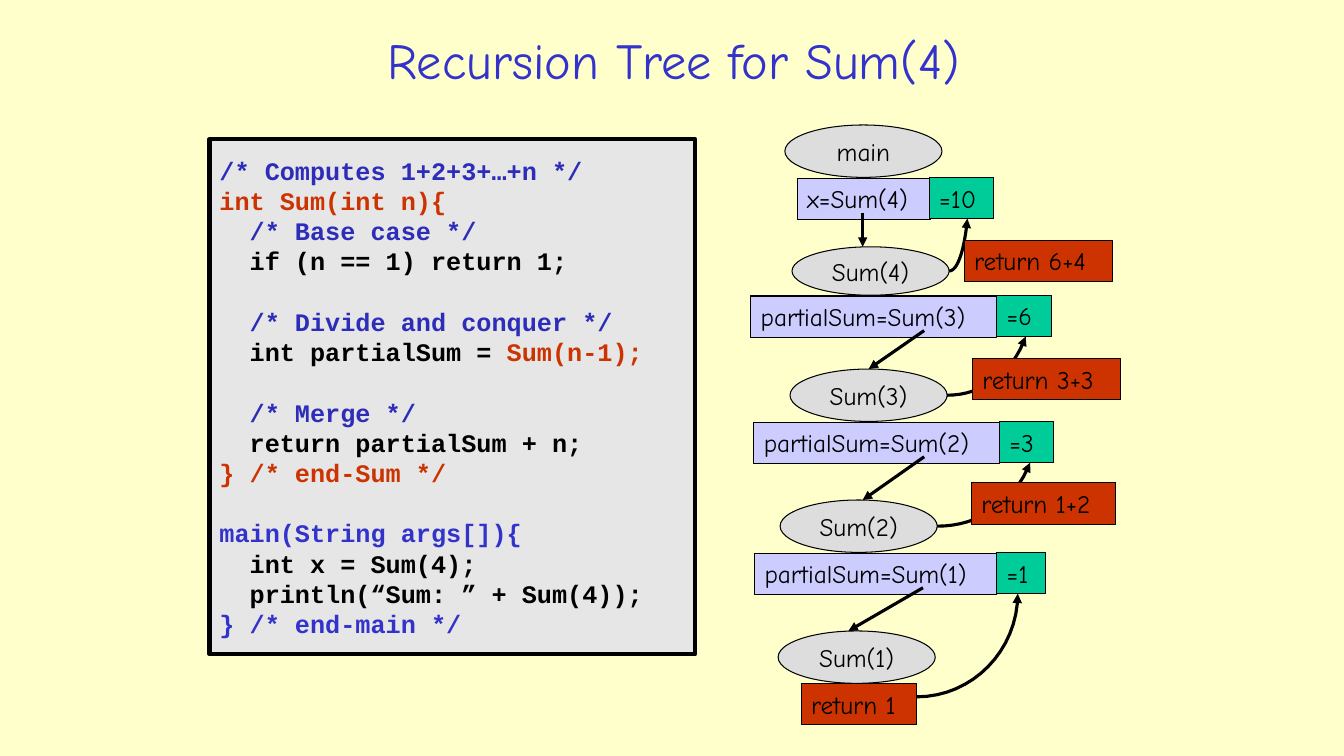
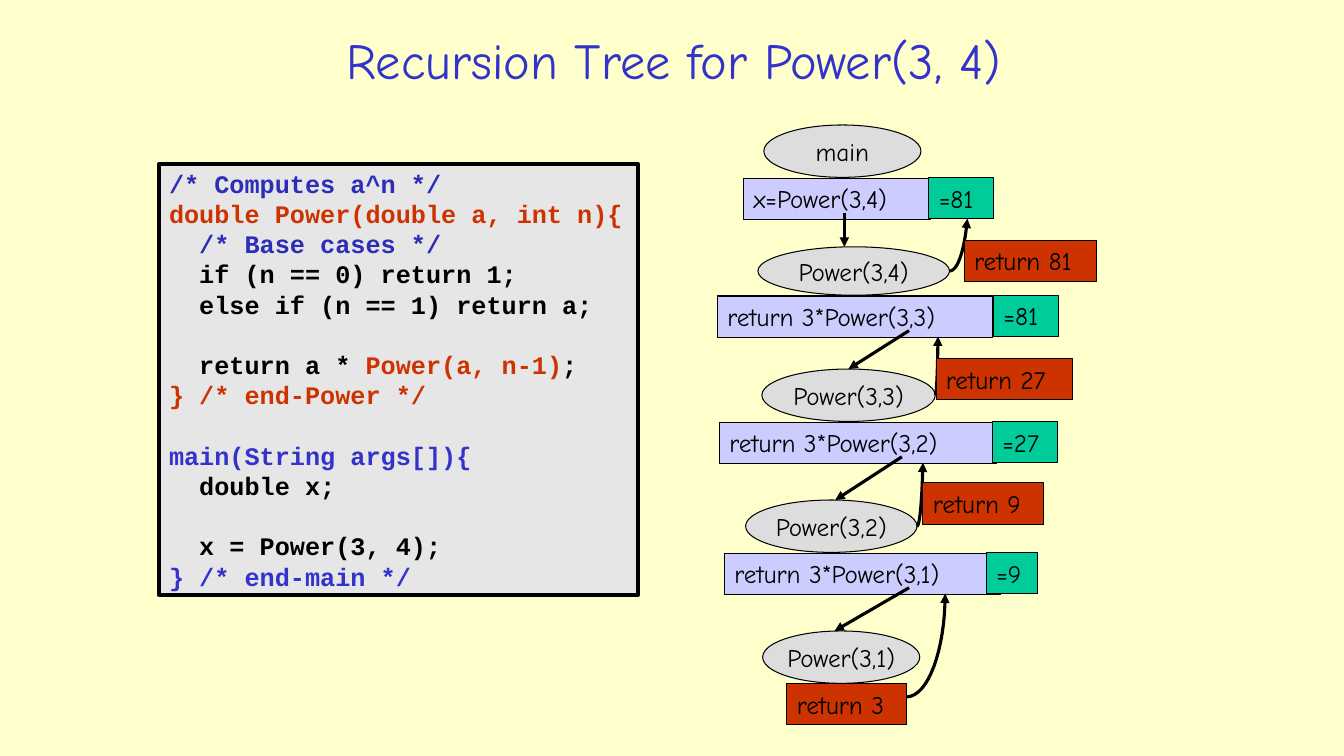
from typing import NamedTuple

from lxml.etree import SubElement
from pptx import Presentation
from pptx.dml.color import RGBColor
from pptx.enum.shapes import MSO_CONNECTOR, MSO_SHAPE
from pptx.enum.text import MSO_ANCHOR, MSO_AUTO_SIZE, PP_ALIGN
from pptx.oxml.ns import qn
from pptx.util import Cm, Pt

HAND, MONO = "Comic Neue", "Courier New"
CREAM, GREY, PALE = "FFFFCC", "DDDDDD", "E6E6E6"
BLACK, BLUE, NAVY = "000000", "3333CC", "2D2DB9"
RED, GREEN, LILAC = "CC3300", "00CC99", "CCCCFF"
ROW = 1.04  # height of a label
LEAD = 21.6  # line pitch of code, points
# Top and height of the five ovals, from the top of the tree
OVALS = [(0, 1.32), (3.07, 1.22), (6.15, 1.32), (9.45, 1.32), (12.75, 1.32)]
# Top of the reply boxes, from the top of the tree
REPLIES = [None, 2.9, 5.89, 9.02, 14.07]
# Control points of the return curves, as shares of width and height
SOFT = ((0.44, 0), (0.83, 0.36))
ROUND = ((0.55, 0), (1, 0.45))


class Level(NamedTuple):
    """One call; every x is measured from the left of the tree."""
    name: str
    oval: tuple          # x, width
    label: tuple = None  # x, width, text
    value: tuple = None  # x, width, text
    call: tuple = None   # x at start, x at end
    reply: tuple = None  # x, width, text
    tip: float = None    # x where the return curve ends


def tint(code):
    return RGBColor.from_string(code)


def put(shape, lines, font=HAND, size=18, color=BLACK, bold=False,
        align=PP_ALIGN.LEFT, lead=None):
    """Write lines; a line is text or (text, colour) parts, "" is a gap."""
    frame = shape.text_frame
    frame.word_wrap = False
    frame.auto_size = MSO_AUTO_SIZE.NONE
    frame.vertical_anchor = MSO_ANCHOR.MIDDLE
    para, gap = None, False
    for line in lines:
        if not line:
            gap = True
            continue
        para = frame.add_paragraph() if para else frame.paragraphs[0]
        para.alignment = align
        if lead:
            para.line_spacing = Pt(lead)
        if gap:
            para.space_before = Pt(lead)
            gap = False
        for text, hue in [(line, color)] if isinstance(line, str) else line:
            run = para.add_run()
            run.text = text
            run.font.name, run.font.size = font, Pt(size)
            run.font.bold = bold
            run.font.color.rgb = tint(hue)


def block(slide, kind, box, fill, lines, line=0.75, **form):
    shape = slide.shapes.add_shape(kind, *[Cm(n) for n in box])
    shape.shadow.inherit = False
    shape.fill.solid()
    shape.fill.fore_color.rgb = tint(fill)
    shape.line.color.rgb = tint(BLACK)
    shape.line.width = Pt(line)
    put(shape, lines, **form)


def point(shape):
    """Give a line its stroke and arrowhead."""
    shape.line.color.rgb = tint(BLACK)
    shape.line.width = Pt(2.25)
    SubElement(shape.line._get_or_add_ln(), qn("a:tailEnd"), type="triangle")


def arrow(slide, *ends):
    link = slide.shapes.add_connector(MSO_CONNECTOR.STRAIGHT,
                                      *[Cm(n) for n in ends])
    point(link)
    SubElement(link._element.spPr, qn("a:effectLst"))


def curve(slide, x1, y1, x2, y2, bend, steps=16):
    (ax, ay), (bx, by) = bend
    spots = []
    for step in range(steps + 1):
        t = step / steps
        a, b, c = 3 * t * (1 - t) ** 2, 3 * t * t * (1 - t), t ** 3
        spots.append((Cm(x1 + (x2 - x1) * (a * ax + b * bx + c)),
                      Cm(y1 + (y2 - y1) * (a * ay + b * by + c))))
    pen = slide.shapes.build_freeform(*spots[0])
    pen.add_line_segments(spots[1:], close=False)
    shape = pen.convert_to_shape()
    shape.shadow.inherit = False
    shape.fill.background()
    point(shape)


def title(slide, text):
    head = slide.shapes.title
    head.left, head.top, head.width, head.height = (
        Cm(4.83), Cm(0.61), Cm(24.3), Cm(1.78))
    put(head, [text], size=36, color=BLUE, align=PP_ALIGN.CENTER)


def code(slide, box, lines):
    block(slide, MSO_SHAPE.RECTANGLE, box, PALE, lines, line=3,
          font=MONO, bold=True, lead=LEAD)


def tree(slide, left, top, levels):
    def tag(part, y, fill):
        x, wide, text = part
        block(slide, MSO_SHAPE.RECTANGLE, (left + x, y, wide, ROW),
              fill, [text])

    # Ovals, labels and values
    for level, (y, high) in zip(levels, OVALS):
        x, wide = level.oval
        block(slide, MSO_SHAPE.OVAL, (left + x, top + y, wide, high), GREY,
              [level.name], align=PP_ALIGN.CENTER)
        if level.label:
            tag(level.label, top + y + high + 0.02, LILAC)
            tag(level.value, top + y + high, GREEN)

    # Calls going down
    for level, (y, high), (below, _) in zip(levels, OVALS, OVALS[1:]):
        start, end = level.call
        arrow(slide, left + start, top + y + high + 0.89,
              left + end, top + below)

    # Returns going up
    for i, level in enumerate(levels[1:], 1):
        last = level.label is None
        x, wide = level.reply[:2] if last else level.oval
        y, high = OVALS[i]
        start = REPLIES[i] + 0.34 if last else y + high / 2
        if last:
            tag(level.reply, top + REPLIES[i], RED)
        curve(slide, left + x + wide, top + start,
              left + level.tip, top + sum(OVALS[i - 1]) + ROW,
              ROUND if last else SOFT)
        if not last:
            tag(level.reply, top + REPLIES[i], RED)


SUM_CODE = [
    [("/* Computes 1+2+3+…+n */", NAVY)],
    [("int Sum(int n){", RED)],
    [("  /* Base case */", NAVY)],
    "  if (n == 1) return 1;",
    "",
    [("  /* Divide and conquer */", NAVY)],
    [("  int partialSum = ", BLACK), ("Sum(n-1);", RED)],
    "",
    [("  /* Merge */", NAVY)],
    "  return partialSum + n;",
    [("} /* end-Sum */", RED)],
    "",
    [("main(String args[]){", BLUE)],
    "  int x = Sum(4);",
    "  println(“Sum: ” + Sum(4));",
    [("} /* end-main */", BLUE)],
]
SUM_TREE = [
    Level("main", (0.86, 3.96), (1.17, 3.35, "x=Sum(4)"),
          (4.5, 1.63, "=10"), (2.82, 2.82)),
    Level("Sum(4)", (1.04, 3.96), (0, 6.2, "partialSum=Sum(3)"),
          (6.2, 1.37, "=6"), (4.37, 2.97), (5.38, 3.73, "return 6+4"), 5.46),
    Level("Sum(3)", (0.99, 3.96), (0.08, 6.2, "partialSum=Sum(2)"),
          (6.27, 1.37, "=3"), (4.37, 2.82), (5.59, 3.73, "return 3+3"), 6.93),
    Level("Sum(2)", (0.74, 3.96), (0.1, 6.1, "partialSum=Sum(1)"),
          (6.2, 1.22, "=1"), (4.34, 2.46), (5.56, 3.63, "return 1+2"), 7.04),
    Level("Sum(1)", (0.69, 3.96), reply=(1.27, 2.92, "return 1"), tip=6.73),
]
POWER_CODE = [
    [("/* Computes a^n */", NAVY)],
    [("double Power(double a, int n){", RED)],
    [("  /* Base cases */", NAVY)],
    "  if (n == 0) return 1;",
    "  else if (n == 1) return a;",
    "",
    [("  return a * ", BLACK), ("Power(a, n-1)", RED), (";", BLACK)],
    [("} /* end-Power */", RED)],
    "",
    [("main(String args[]){", BLUE)],
    "  double x;",
    "",
    "  x = Power(3, 4);",
    [("} /* end-main */", BLUE)],
]
POWER_TREE = [
    Level("main", (1.17, 3.96), (0.66, 4.72, "x=Power(3,4)"),
          (5.33, 1.63, "=81"), (3.2, 3.2)),
    Level("Power(3,4)", (1.02, 4.83), (0, 6.93, "return 3*Power(3,3)"),
          (6.96, 1.63, "=81"), (4.83, 3.3), (6.22, 3.33, "return 81"), 6.3),
    Level("Power(3,3)", (1.12, 4.37), (0.05, 6.99, "return 3*Power(3,2)"),
          (6.93, 1.65, "=27"), (4.65, 2.97), (5.51, 3.43, "return 27"), 5.56),
    Level("Power(3,2)", (0.71, 4.32), (0.18, 6.96, "return 3*Power(3,1)"),
          (6.78, 1.3, "=9"), (4.83, 2.95), (5.18, 3.05, "return 9"), 5.18),
    Level("Power(3,1)", (1.14, 3.96), reply=(1.75, 3.02, "return 3"),
          tip=5.74),
]
PAGES = [
    ("Recursion Tree for Sum(4)", (5.28, 3.51, 12.24, 12.98), SUM_CODE,
     18.92, SUM_TREE),
    ("Recursion Tree for Power(3, 4)", (4.01, 4.14, 12.07, 10.85), POWER_CODE,
     18.08, POWER_TREE),
]


def main():
    deck = Presentation()
    deck.slide_width, deck.slide_height = Cm(33.87), Cm(19.05)
    back = deck.slide_master.background.fill
    back.solid()
    back.fore_color.rgb = tint(CREAM)
    for text, box, lines, left, levels in PAGES:
        slide = deck.slides.add_slide(deck.slide_layouts[5])
        title(slide, text)
        code(slide, box, lines)
        tree(slide, left, 3.15, levels)
    deck.save("out.pptx")


if __name__ == "__main__":
    main()
